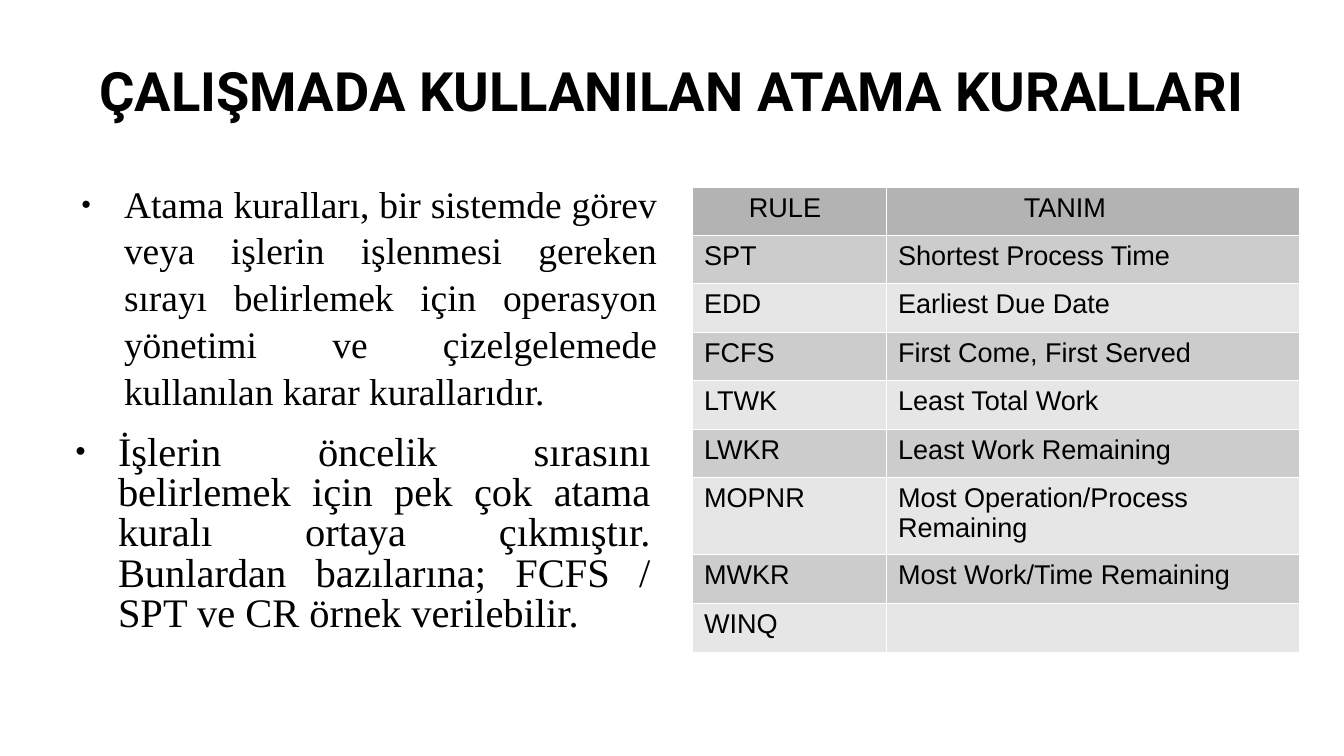
"""Build the slide on the dispatching rules used in the study."""
from dataclasses import dataclass

from lxml import etree
from pptx import Presentation
from pptx.dml.color import RGBColor
from pptx.enum.text import MSO_ANCHOR, PP_ALIGN
from pptx.oxml.ns import qn
from pptx.util import Pt

PX = 7495
LEFT, CENTER, JUSTIFY = PP_ALIGN.LEFT, PP_ALIGN.CENTER, PP_ALIGN.JUSTIFY
TOP, MIDDLE = MSO_ANCHOR.TOP, MSO_ANCHOR.MIDDLE
COLORS = {
    "text": "000000",
    "border": "FFFFFF",
    "header": "B3B3B3",
    "odd": "CCCCCC",
    "even": "E6E6E6",
}


@dataclass
class TextBlock:
    text: str
    left: int
    top: int
    width: int
    height: int
    size: float
    font: str
    line_spacing: float
    align: int = JUSTIFY
    anchor: int = TOP
    bold: bool = False
    bullet: bool = True


@dataclass
class RuleRow:
    code: str
    meaning: str
    height: int = 48


BLOCKS = [
    TextBlock("ÇALIŞMADA KULLANILAN ATAMA KURALLARI", 67, 30, 1210, 127, 32, "Roboto", 0.9,
              align=CENTER, anchor=MIDDLE, bold=True, bullet=False),
    TextBlock("Atama kuralları, bir sistemde görev veya işlerin işlenmesi gereken sırayı "
              "belirlemek için operasyon yönetimi ve çizelgelemede kullanılan karar "
              "kurallarıdır.", 67, 179, 590, 209, 22.1, "Times New Roman", 1.04),
    TextBlock("İşlerin öncelik sırasını belirlemek için pek çok atama kuralı ortaya "
              "çıkmıştır. Bunlardan bazılarına; FCFS / SPT ve CR örnek verilebilir.",
              61, 434, 590, 209, 23.9, "Times New Roman", 0.83),
]
RULES = [
    RuleRow("RULE", "TANIM"),
    RuleRow("SPT", "Shortest Process Time"),
    RuleRow("EDD", "Earliest Due Date", 49),
    RuleRow("FCFS", "First Come, First Served"),
    RuleRow("LTWK", "Least Total Work", 49),
    RuleRow("LWKR", "Least Work Remaining"),
    RuleRow("MOPNR", "Most Operation/Process Remaining", 73),
    RuleRow("MWKR", "Most Work/Time Remaining", 49),
    RuleRow("WINQ", "", 46),
]
TABLE_LEFT, TABLE_TOP = 692, 187
COLUMN_WIDTHS = [194, 413]
HEADER_MARGINS = [57, 138]


def write_text(frame, text: str, *, size: float, font: str, bold: bool = False,
               align: int = LEFT, line_spacing: float = 1.0):
    """Fill the first paragraph of a frame and return it."""
    para = frame.paragraphs[0]
    para.alignment = align
    para.line_spacing = line_spacing
    span = para.add_run()
    span.text = text
    span.font.size = Pt(size)
    span.font.name = font
    span.font.bold = bold
    span.font.color.rgb = RGBColor.from_string(COLORS["text"])
    return para


def add_bullet(para) -> None:
    """Give a paragraph a small round bullet with a hanging indent."""
    props = para._p.get_or_add_pPr()
    props.set("marL", str(57 * PX))
    props.set("indent", str(-43 * PX))
    color = etree.SubElement(props, qn("a:buClr"))
    etree.SubElement(color, qn("a:srgbClr"), val=COLORS["text"])
    etree.SubElement(props, qn("a:buSzPct"), val="45000")
    etree.SubElement(props, qn("a:buFont"), typeface="Arial")
    etree.SubElement(props, qn("a:buChar"), char="●")


def draw_block(page, block: TextBlock) -> None:
    """Draw one text block without inner margins."""
    box = page.shapes.add_textbox(block.left * PX, block.top * PX,
                                  block.width * PX, block.height * PX)
    frame = box.text_frame
    frame.word_wrap = True
    frame.vertical_anchor = block.anchor
    frame.margin_left = frame.margin_right = frame.margin_top = frame.margin_bottom = 0
    para = write_text(frame, block.text, size=block.size, font=block.font, bold=block.bold,
                      align=block.align, line_spacing=block.line_spacing)
    if block.bullet:
        add_bullet(para)


def style_cell(cell, fill: str) -> None:
    """Set thin borders and a solid fill on a cell."""
    props = cell._tc.get_or_add_tcPr()
    for side in ("a:lnL", "a:lnR", "a:lnT", "a:lnB"):
        line = etree.SubElement(props, qn(side), w="720")
        solid = etree.SubElement(line, qn("a:solidFill"))
        etree.SubElement(solid, qn("a:srgbClr"), val=COLORS["border"])
    cell.fill.solid()
    cell.fill.fore_color.rgb = RGBColor.from_string(fill)


def draw_rules(page, rules: list[RuleRow]) -> None:
    """Draw the table of rules with a header and alternating rows."""
    height = sum(rule.height for rule in rules)
    table = page.shapes.add_table(len(rules), len(COLUMN_WIDTHS), TABLE_LEFT * PX,
                                  TABLE_TOP * PX, sum(COLUMN_WIDTHS) * PX, height * PX).table
    for column, width in zip(table.columns, COLUMN_WIDTHS):
        column.width = width * PX
    for index, rule in enumerate(rules):
        table.rows[index].height = rule.height * PX
        shade = "header" if index == 0 else "odd" if index % 2 else "even"
        for position, text in enumerate((rule.code, rule.meaning)):
            cell = table.cell(index, position)
            if index == 0:
                cell.margin_left = HEADER_MARGINS[position] * PX
            write_text(cell.text_frame, text, size=16, font="Arial")
            style_cell(cell, COLORS[shade])


def main() -> None:
    """Build and save the deck."""
    deck = Presentation()
    deck.slide_width, deck.slide_height = 1344 * PX, 756 * PX
    page = deck.slides.add_slide(deck.slide_layouts[6])
    for block in BLOCKS:
        draw_block(page, block)
    draw_rules(page, RULES)
    deck.save("out.pptx")


if __name__ == "__main__":
    main()
